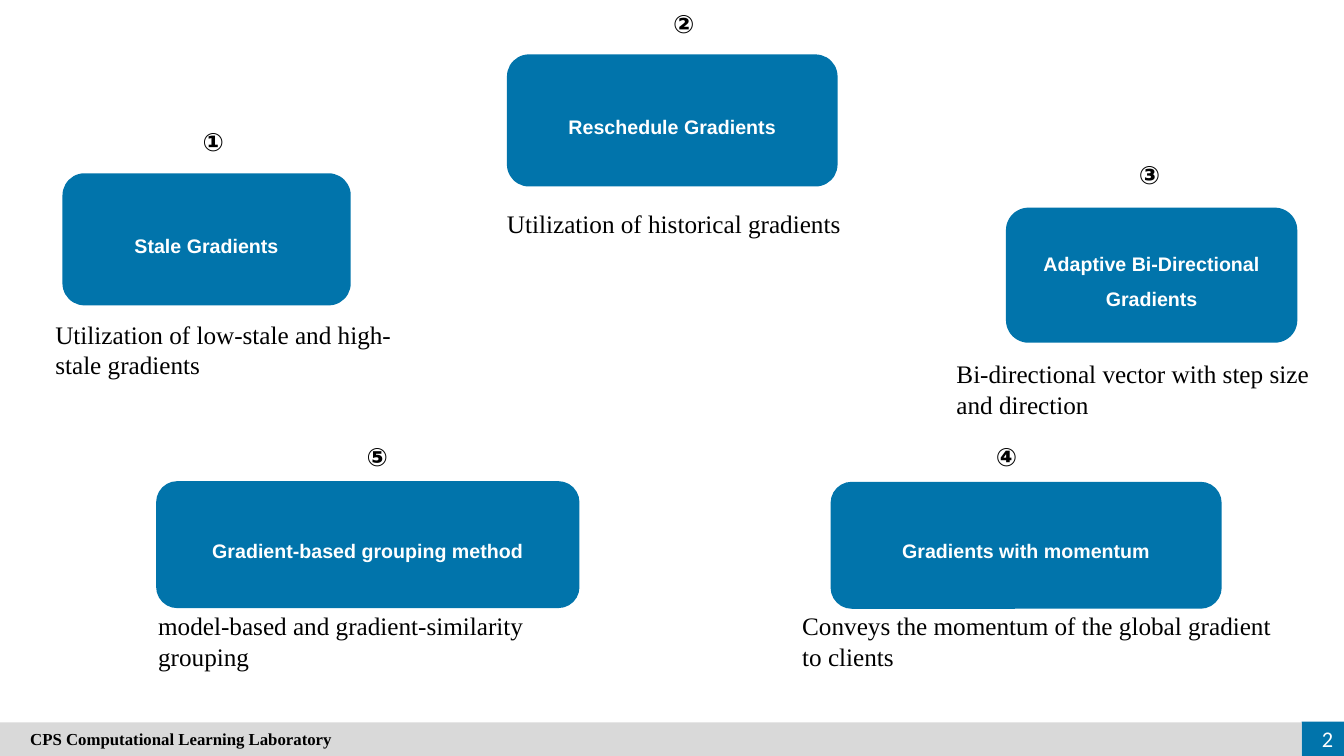
from collections import namedtuple

from pptx import Presentation
from pptx.dml.color import RGBColor
from pptx.enum.shapes import MSO_SHAPE
from pptx.enum.text import MSO_ANCHOR, PP_ALIGN
from pptx.util import Inches, Pt

BLUE = RGBColor(0x01, 0x74, 0xAB)
GREY = RGBColor(0xD9, 0xD9, 0xD9)
BLACK = RGBColor(0, 0, 0)
WHITE = RGBColor(0xFF, 0xFF, 0xFF)

Method = namedtuple("Method", "number name card badge caption caption_area")

# Areas are left, top, width, height in percent of the slide.
METHODS = [
    Method("①", "Stale Gradients", (4.65, 22.93, 21.45, 17.47), (14.33, 16),
           "Utilization of low-stale and high-stale gradients",
           (3.38, 41.6, 27.38, 9.47)),
    Method("②", "Reschedule Gradients", (37.72, 7.2, 24.6, 17.47), (49.35, 0.4),
           "Utilization of historical gradients",
           (36.98, 26.93, 32.4, 5.33)),
    Method("③", "Adaptive Bi-Directional Gradients", (74.85, 27.47, 21.68, 17.87), (84, 20.4),
           "Bi-directional vector with step size and direction",
           (70.43, 46.8, 29.57, 9.47)),
    Method("④", "Gradients with momentum", (61.8, 63.73, 29.1, 16.8), (73.35, 57.73),
           "Conveys the momentum of the global gradient to clients",
           (58.95, 80.13, 37.58, 9.47)),
    Method("⑤", "Gradient-based grouping method", (11.62, 63.65, 31.5, 16.8), (26.55, 57.73),
           "model-based and gradient-similarity grouping",
           (11.03, 80.13, 33.3, 9.47)),
]
BADGE_SIZE = (3.4, 5.33)
LABORATORY = "CPS Computational Learning Laboratory"
FOOTER_BAR = (0, 95.55, 96.85, 4.45)
PAGE_TILE = (96.85, 95.45, 3.15, 4.55)
PAGE_NUMBER = "2"
PAGE_AREA = (95.18, 95.07, 4.75, 5.33)

deck = Presentation()
deck.slide_width, deck.slide_height = Inches(13.333), Inches(7.5)
slide = deck.slides.add_slide(deck.slide_layouts[6])


def place(area):
    sides = (deck.slide_width, deck.slide_height) * 2
    return [round(side * share / 100) for side, share in zip(sides, area)]


def add_block(kind, area, color):
    block = slide.shapes.add_shape(kind, *place(area))
    block.shadow.inherit = False
    block.fill.solid()
    block.fill.fore_color.rgb = color
    block.line.fill.background()
    return block


def add_label(area):
    return slide.shapes.add_textbox(*place(area))


def write(holder, words, size, font, color, bold=False, align=PP_ALIGN.LEFT,
          anchor=MSO_ANCHOR.TOP, wrap=True, spacing=None):
    frame = holder.text_frame
    frame.word_wrap = wrap
    frame.vertical_anchor = anchor
    paragraph = frame.paragraphs[0]
    paragraph.alignment = align
    paragraph.line_spacing = spacing
    run = paragraph.add_run()
    run.text = words
    run.font.name = font
    run.font.size = Pt(size)
    run.font.bold = bold
    run.font.color.rgb = color


add_block(MSO_SHAPE.RECTANGLE, PAGE_TILE, BLUE)
footer = add_block(MSO_SHAPE.RECTANGLE, FOOTER_BAR, GREY)
footer.text_frame.margin_left = Inches(0.3)
write(footer, LABORATORY, 12, "Times New Roman", BLACK, bold=True, anchor=MSO_ANCHOR.MIDDLE)
write(add_label(PAGE_AREA), PAGE_NUMBER, 16, "Calibri", WHITE,
      align=PP_ALIGN.RIGHT, anchor=MSO_ANCHOR.MIDDLE)

for method in METHODS:
    card = add_block(MSO_SHAPE.ROUNDED_RECTANGLE, method.card, BLUE)
    write(card, method.name, 14, "Arial", WHITE, bold=True,
          align=PP_ALIGN.CENTER, anchor=MSO_ANCHOR.MIDDLE, spacing=1.5)
    write(add_label(method.badge + BADGE_SIZE), method.number, 18, "Arial", BLACK,
          bold=True, wrap=False)
    write(add_label(method.caption_area), method.caption, 18, "Times New Roman", BLACK)

deck.save("out.pptx")
